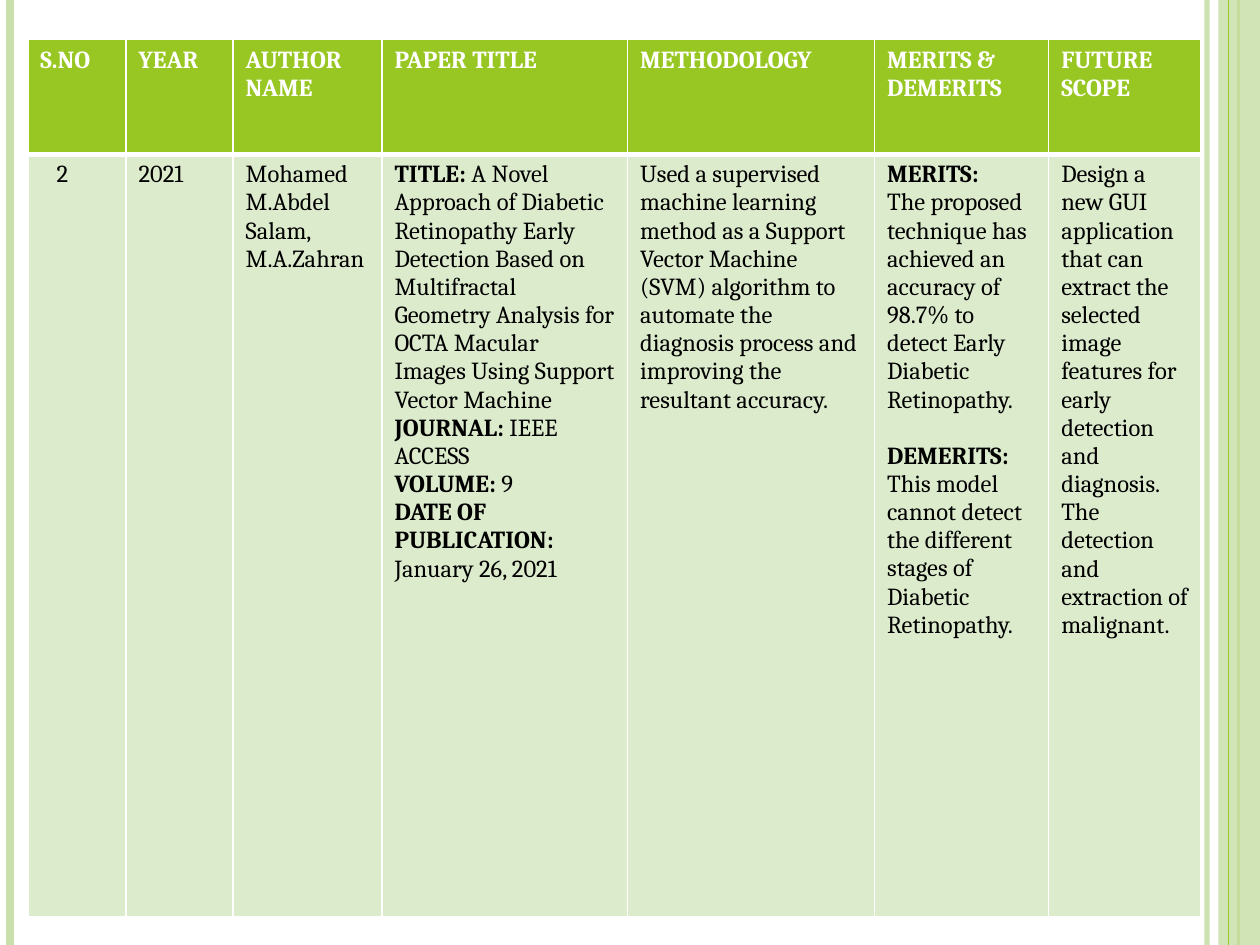
from lxml import etree
from pptx import Presentation
from pptx.dml.color import RGBColor
from pptx.enum.shapes import MSO_CONNECTOR, MSO_SHAPE
from pptx.oxml.ns import qn
from pptx.util import Cm, Pt

STRAIGHT = MSO_CONNECTOR.STRAIGHT
RECTANGLE = MSO_SHAPE.RECTANGLE

GREEN = RGBColor(0x98, 0xC7, 0x23)
PALE_GREEN = RGBColor(0xCA, 0xE0, 0xAC)
BODY_FILL = RGBColor(0xDD, 0xEB, 0xCD)
WHITE = RGBColor(0xFF, 0xFF, 0xFF)
BLACK = RGBColor(0, 0, 0)

FONT = "Cambria"
FONT_SIZE = Pt(14)
SLIDE_W, SLIDE_H = 25.4, 19.05

# Each column: width in cm, heading paragraphs, body paragraphs as (bold label, text)
COLUMNS = [
    (1.98, ["S.NO"], [("", "2")]),
    (2.16, ["YEAR"], [("", "2021")]),
    (3.0, ["AUTHOR NAME"], [("", "Mohamed M.Abdel Salam,"), ("", "M.A.Zahran")]),
    (4.95, ["PAPER TITLE"], [
        ("TITLE:", " A Novel Approach of Diabetic Retinopathy Early Detection Based on "
                   "Multifractal Geometry Analysis for OCTA Macular Images Using Support "
                   "Vector Machine"),
        ("JOURNAL:", " IEEE ACCESS"),
        ("VOLUME:", " 9"),
        ("DATE OF PUBLICATION: ", "January 26, 2021"),
    ]),
    (4.98, ["METHODOLOGY"], [
        ("", "Used a supervised machine learning method as a Support Vector Machine (SVM) "
             "algorithm to automate the diagnosis process and improving the resultant "
             "accuracy."),
    ]),
    (3.51, ["MERITS &", "DEMERITS"], [
        ("MERITS:", ""),
        ("", "The proposed technique has achieved an accuracy of 98.7% to detect Early "
             "Diabetic Retinopathy."),
        ("DEMERITS:", ""),
        ("", "This model cannot detect the different stages of Diabetic Retinopathy."),
    ]),
    (3.07, ["FUTURE SCOPE"], [
        ("", "Design a new GUI application that can extract the selected image features "
             "for early detection and diagnosis. The detection and extraction of malignant."),
    ]),
]
ROW_HEIGHTS = [2.31, 15.37]
TABLE_LEFT, TABLE_TOP = 0.56, 0.8
NUMBER_INDENT = Cm(0.33)
DEMERITS_GAP = Pt(16)


def set_opacity(fill, percent):
    color = fill._xPr.find(qn("a:solidFill"))[0]
    etree.SubElement(color, qn("a:alpha"), val=str(percent * 1000))


def add_stripe(slide, x, color, width, opacity=100):
    """Draw a vertical line over the full slide height."""
    stripe = slide.shapes.add_connector(STRAIGHT, Cm(x), 0, Cm(x), Cm(SLIDE_H))
    stripe.line.color.rgb = color
    stripe.line.width = Pt(width)
    if opacity < 100:
        set_opacity(stripe.line.fill, opacity)
    etree.SubElement(stripe._element.spPr, qn("a:effectLst"))


def add_band(slide, x, opacity):
    """Fill the slide from x to its right edge."""
    band = slide.shapes.add_shape(RECTANGLE, Cm(x), 0, Cm(SLIDE_W - x), Cm(SLIDE_H))
    band.shadow.inherit = False
    band.fill.solid()
    band.fill.fore_color.rgb = PALE_GREEN
    set_opacity(band.fill, opacity)
    band.line.fill.background()


def set_borders(cell, top, bottom):
    """Give a cell white borders; left and right are 1 pt."""
    properties = cell._tc.get_or_add_tcPr()
    for side, width in (("L", 1), ("R", 1), ("T", top), ("B", bottom)):
        border = etree.SubElement(properties, qn(f"a:ln{side}"), w=str(Pt(width)))
        fill = etree.SubElement(border, qn("a:solidFill"))
        etree.SubElement(fill, qn("a:srgbClr"), val=str(WHITE))


def fill_cell(cell, paragraphs, fill_color, text_color):
    cell.fill.solid()
    cell.fill.fore_color.rgb = fill_color
    frame = cell.text_frame
    frame.text = "\n".join(label for label, _ in paragraphs)
    for paragraph, (label, text) in zip(frame.paragraphs, paragraphs):
        for run in paragraph.runs:
            run.font.bold = True
        if text:
            run = paragraph.add_run()
            run.text = text
            run.font.bold = False
        if label == "DEMERITS:":
            paragraph.space_before = DEMERITS_GAP
        for run in paragraph.runs:
            run.font.name = FONT
            run.font.size = FONT_SIZE
            run.font.color.rgb = text_color


def add_paper_table(slide):
    table = slide.shapes.add_table(
        len(ROW_HEIGHTS), len(COLUMNS), Cm(TABLE_LEFT), Cm(TABLE_TOP),
        Cm(sum(width for width, _, _ in COLUMNS)), Cm(sum(ROW_HEIGHTS))).table
    for row, height in zip(table.rows, ROW_HEIGHTS):
        row.height = Cm(height)
    for index, (width, heading, body) in enumerate(COLUMNS):
        table.columns[index].width = Cm(width)
        head_cell, body_cell = table.cell(0, index), table.cell(1, index)
        set_borders(head_cell, 1, 3)
        set_borders(body_cell, 3, 1)
        fill_cell(head_cell, [(line, "") for line in heading], GREEN, WHITE)
        fill_cell(body_cell, body, BODY_FILL, BLACK)
    number = table.cell(1, 0).text_frame.paragraphs[0]
    number._p.get_or_add_pPr().set("marL", str(NUMBER_INDENT))


def main():
    deck = Presentation()
    deck.slide_width, deck.slide_height = Cm(SLIDE_W), Cm(SLIDE_H)
    slide = deck.slides.add_slide(deck.slide_layouts[6])
    add_stripe(slide, 24.33, PALE_GREEN, 3, opacity=93)
    add_stripe(slide, 0.2, PALE_GREEN, 4.5)
    add_stripe(slide, 24.97, GREEN, 1.5)
    add_band(slide, 24.56, opacity=87)
    add_stripe(slide, 24.76, GREEN, 0.75)
    add_paper_table(slide)
    deck.save("out.pptx")


if __name__ == "__main__":
    main()
